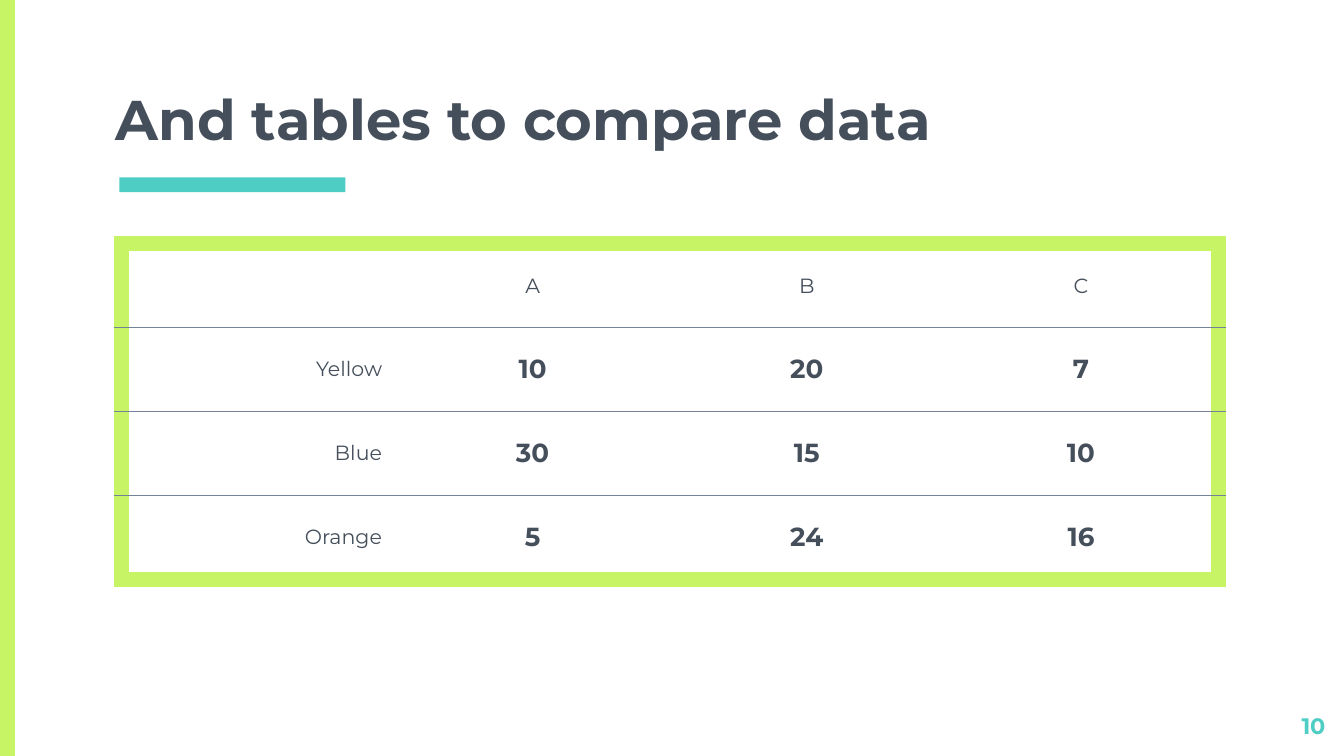
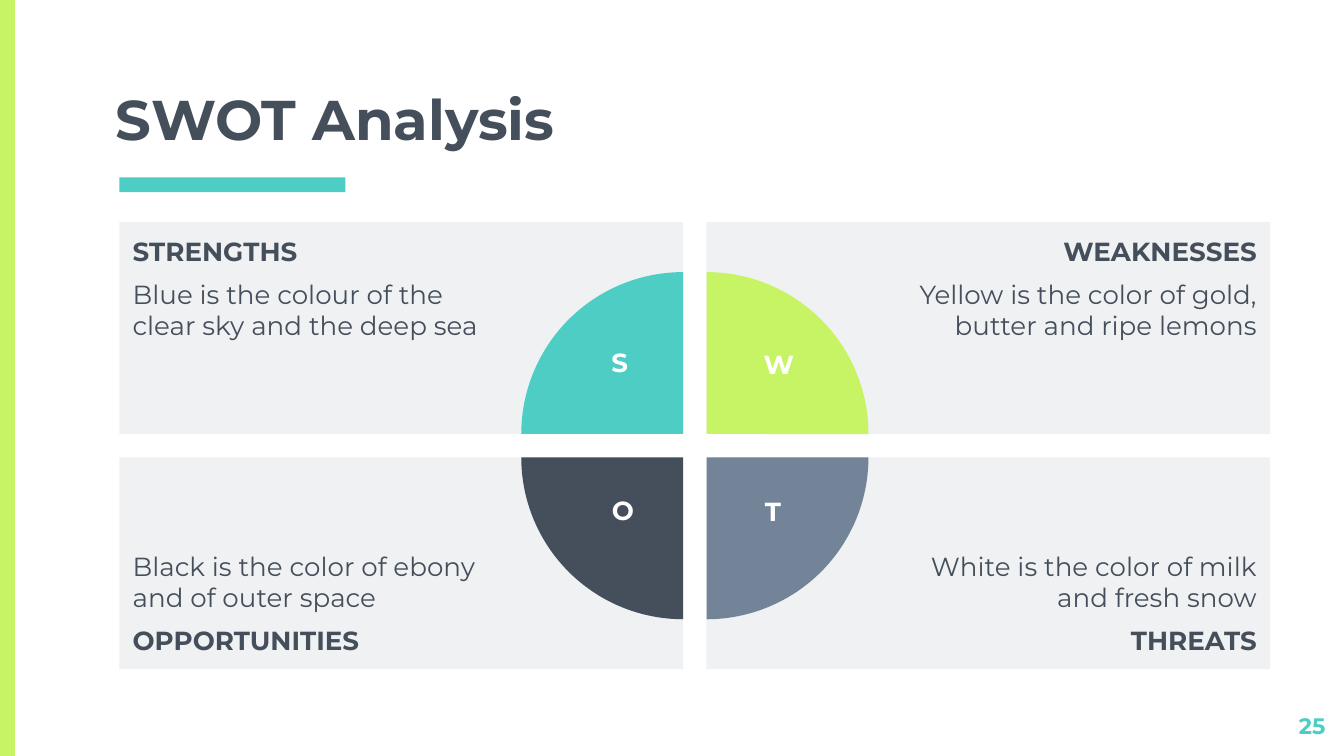
"""Build a comparison table slide and a SWOT analysis slide."""
from dataclasses import dataclass

from lxml import etree
from pptx import Presentation
from pptx.dml.color import RGBColor
from pptx.enum import shapes, text
from pptx.oxml import ns
from pptx.util import Pt

LEFT, CENTER, RIGHT = text.PP_ALIGN.LEFT, text.PP_ALIGN.CENTER, text.PP_ALIGN.RIGHT
TOP, MIDDLE, BOTTOM = text.MSO_ANCHOR.TOP, text.MSO_ANCHOR.MIDDLE, text.MSO_ANCHOR.BOTTOM


@dataclass(frozen=True)
class Theme:
    font: str = "Montserrat"
    dark: str = "454F5B"
    slate: str = "738498"
    lime: str = "C7F464"
    teal: str = "4ECDC4"
    pale: str = "EFF1F3"
    white: str = "FFFFFF"
    title_size: int = 30
    body_size: int = 14
    number_size: int = 12
    label_size: int = 11


THEME = Theme()
WIDTH, HEIGHT = 720, 405
SIDE_BAND = (0, 0, 8, HEIGHT)
TITLE_RULE = (64, 95, 121, 8)
TITLE_BOX = (54.7, 49.7, 611.3, 38.9)
NUMBER_BOX = (674, 374.4, 43.2, 24.5)
INSET = 7.2
EVEN_INSETS = (INSET,) * 4

TABLE_TITLE, TABLE_NUMBER = "And tables to compare data", "10"
TABLE_ROWS = [
    ("", "A", "B", "C"),
    ("Yellow", "10", "20", "7"),
    ("Blue", "30", "15", "10"),
    ("Orange", "5", "24", "16"),
]
TABLE_LEFT, TABLE_TOP, COLUMN_WIDTH, ROW_HEIGHT = 65, 130.5, 146.9, 45
FRAME_LINE, INNER_LINE = (THEME.lime, 9), (THEME.slate, 0.75)

SWOT_TITLE, SWOT_NUMBER = "SWOT Analysis", "25"
SWOT = [
    {"heading": "STRENGTHS", "body": "Blue is the colour of the clear sky and the deep sea",
     "row": 0, "column": 0, "color": THEME.teal, "turn": 0,
     "letter": "S", "letter_box": (319, 182.2, 26, 32.4)},
    {"heading": "WEAKNESSES", "body": "Yellow is the color of gold, butter and ripe lemons",
     "row": 0, "column": 1, "color": THEME.lime, "turn": 90,
     "letter": "W", "letter_box": (392.4, 182.9, 49.7, 31)},
    {"heading": "OPPORTUNITIES", "body": "Black is the color of ebony and of outer space",
     "row": 1, "column": 0, "color": THEME.dark, "turn": 270,
     "letter": "O", "letter_box": (316.8, 261.4, 33.8, 32.4)},
    {"heading": "THREATS", "body": "White is the color of milk and fresh snow",
     "row": 1, "column": 1, "color": THEME.slate, "turn": 180,
     "letter": "T", "letter_box": (400.3, 262.1, 27.4, 31)},
]
PANEL_LEFT, PANEL_TOP, PANEL_WIDTH, PANEL_HEIGHT, PANEL_GAP = 64, 119, 302, 113.5, 12.5
PIE_SIZE, PIE_INSET = 173.5, 108


def points(box):
    return [Pt(length) for length in box]


def add_run(paragraph, content, size, color=THEME.dark, bold=False, align=LEFT):
    paragraph.alignment = align
    run = paragraph.add_run()
    run.text = content
    run.font.name = THEME.font
    run.font.size = Pt(size)
    run.font.bold = bold
    run.font.color.rgb = RGBColor.from_string(color)


def format_frame(frame, insets, anchor=TOP):
    frame.word_wrap = True
    frame.auto_size = text.MSO_AUTO_SIZE.NONE
    frame.vertical_anchor = anchor
    (frame.margin_left, frame.margin_top,
     frame.margin_right, frame.margin_bottom) = points(insets)


def add_block(slide, kind, box, color):
    shape = slide.shapes.add_shape(kind, *points(box))
    shape.shadow.inherit = False
    shape.fill.solid()
    shape.fill.fore_color.rgb = RGBColor.from_string(color)
    shape.line.fill.background()
    return shape


def add_label(slide, box, content, size, color, align, insets):
    frame = slide.shapes.add_textbox(*points(box)).text_frame
    format_frame(frame, insets)
    add_run(frame.paragraphs[0], content, size, color, True, align)


def add_base_slide(presentation, heading, number):
    slide = presentation.slides.add_slide(presentation.slide_layouts[5])
    add_block(slide, shapes.MSO_SHAPE.RECTANGLE, SIDE_BAND, THEME.lime)
    add_block(slide, shapes.MSO_SHAPE.RECTANGLE, TITLE_RULE, THEME.teal)
    title = slide.shapes.title
    title.left, title.top, title.width, title.height = points(TITLE_BOX)
    format_frame(title.text_frame, EVEN_INSETS, BOTTOM)
    add_run(title.text_frame.paragraphs[0], heading, THEME.title_size, bold=True)
    add_label(slide, NUMBER_BOX, number, THEME.number_size, THEME.teal, RIGHT, EVEN_INSETS)
    return slide


def set_borders(cell, borders):
    properties = cell._tc.get_or_add_tcPr()
    for position, (side, border) in enumerate(borders.items()):
        line = etree.Element(ns.qn(f"a:ln{side}"))
        if border:
            color, weight = border
            line.set("w", str(Pt(weight)))
            fill = etree.SubElement(line, ns.qn("a:solidFill"))
            etree.SubElement(fill, ns.qn("a:srgbClr")).set("val", color)
        else:
            etree.SubElement(line, ns.qn("a:noFill"))
        properties.insert(position, line)


def add_comparison_table(slide):
    row_count, column_count = len(TABLE_ROWS), len(TABLE_ROWS[0])
    box = (TABLE_LEFT, TABLE_TOP, column_count * COLUMN_WIDTH, row_count * ROW_HEIGHT)
    table = slide.shapes.add_table(row_count, column_count, *points(box)).table
    table.first_row = table.horz_banding = False
    for row, values in enumerate(TABLE_ROWS):
        for column, value in enumerate(values):
            cell = table.cell(row, column)
            cell.fill.background()
            cell.vertical_anchor = MIDDLE
            cell.margin_left = cell.margin_right = Pt(INSET)
            cell.margin_top = cell.margin_bottom = Pt(5)
            set_borders(cell, {
                "L": FRAME_LINE if column == 0 else None,
                "R": FRAME_LINE if column == column_count - 1 else None,
                "T": FRAME_LINE if row == 0 else INNER_LINE,
                "B": FRAME_LINE if row == row_count - 1 else INNER_LINE,
            })
            if value:
                is_number = row > 0 and column > 0
                add_run(cell.text_frame.paragraphs[0], value,
                        THEME.body_size if is_number else THEME.label_size,
                        bold=is_number, align=CENTER if column else RIGHT)


def add_panel(slide, item):
    row, column = item["row"], item["column"]
    box = (PANEL_LEFT + column * (PANEL_WIDTH + PANEL_GAP),
           PANEL_TOP + row * (PANEL_HEIGHT + PANEL_GAP), PANEL_WIDTH, PANEL_HEIGHT)
    frame = add_block(slide, shapes.MSO_SHAPE.RECTANGLE, box, THEME.pale).text_frame
    side_insets = (PIE_INSET, INSET) if column else (INSET, PIE_INSET)
    format_frame(frame, (side_insets[0], INSET, side_insets[1], INSET), BOTTOM if row else TOP)
    lines = [(item["heading"], True), (item["body"], False)]
    if row:
        lines.reverse()
    for paragraph, (content, bold) in zip((frame.paragraphs[0], frame.add_paragraph()), lines):
        add_run(paragraph, content, THEME.body_size, bold=bold, align=RIGHT if column else LEFT)
    paragraph.space_before = paragraph.space_after = Pt(6)


def add_quarter(slide, item):
    center_x = PANEL_LEFT + PANEL_WIDTH + item["column"] * PANEL_GAP
    center_y = PANEL_TOP + PANEL_HEIGHT + item["row"] * PANEL_GAP
    box = (center_x - PIE_SIZE / 2, center_y - PIE_SIZE / 2, PIE_SIZE, PIE_SIZE)
    pie = add_block(slide, shapes.MSO_SHAPE.PIE, box, item["color"])
    pie.adjustments[0], pie.adjustments[1] = 108, 162
    pie.rotation = item["turn"]


def add_letter(slide, item):
    add_label(slide, item["letter_box"], item["letter"], THEME.body_size, THEME.white,
              CENTER, (INSET, INSET / 2, INSET, INSET / 2))


def main():
    presentation = Presentation()
    presentation.slide_width, presentation.slide_height = Pt(WIDTH), Pt(HEIGHT)
    add_comparison_table(add_base_slide(presentation, TABLE_TITLE, TABLE_NUMBER))
    swot_slide = add_base_slide(presentation, SWOT_TITLE, SWOT_NUMBER)
    for add_part in (add_panel, add_quarter, add_letter):
        for item in SWOT:
            add_part(swot_slide, item)
    presentation.save("out.pptx")


if __name__ == "__main__":
    main()
